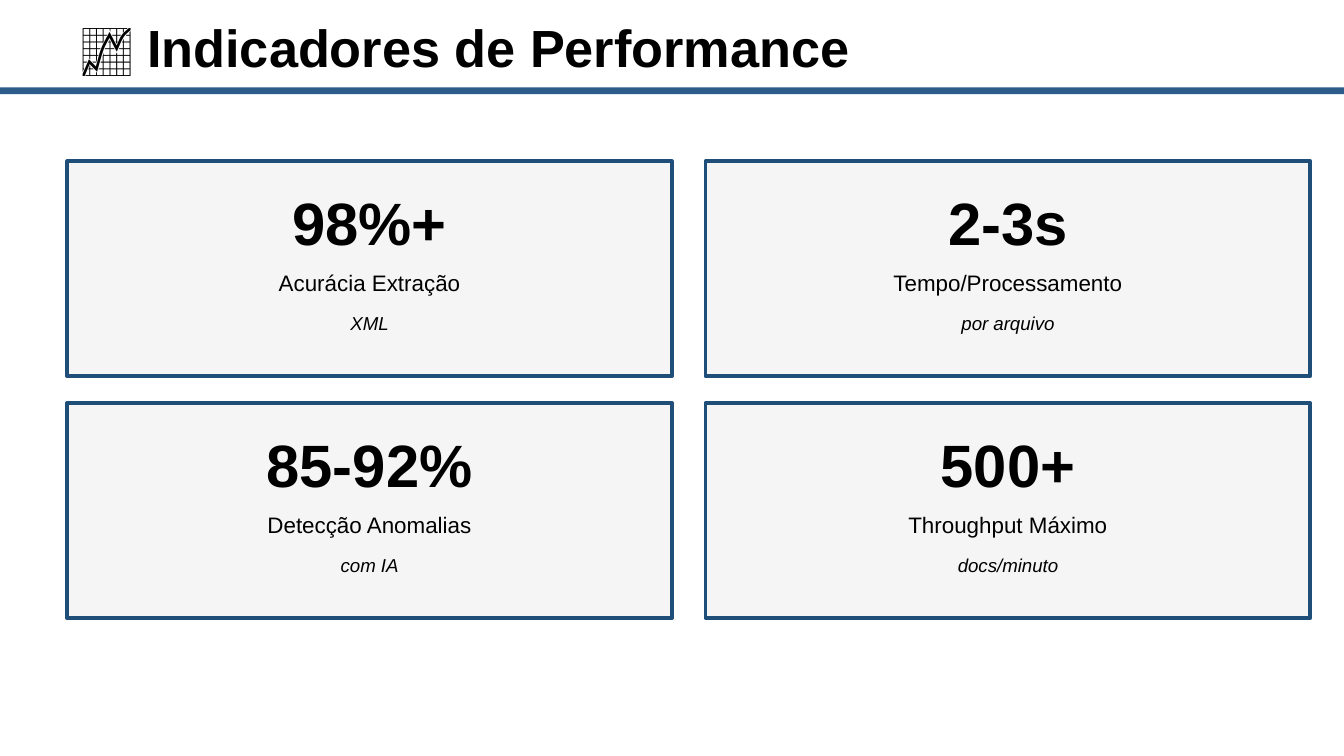
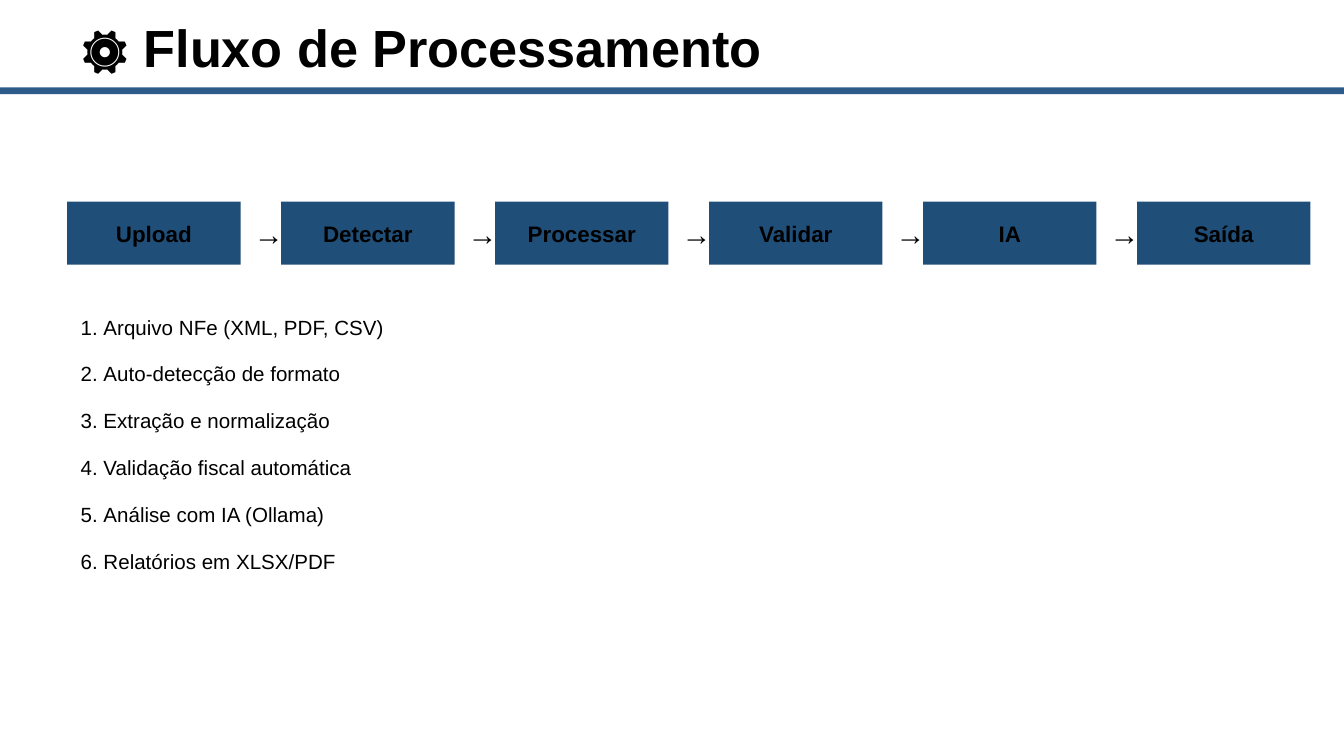
from lxml.etree import SubElement
from pptx import Presentation
from pptx.dml.color import RGBColor
from pptx.enum.shapes import MSO_SHAPE
from pptx.enum.text import MSO_ANCHOR, MSO_AUTO_SIZE, PP_ALIGN
from pptx.oxml.ns import qn
from pptx.util import Inches, Pt

FONT = "Arial"
BLACK = "000000"
BAND_BLUE = "2E5C8A"
DARK_BLUE = "1F4E78"
LIGHT_GRAY = "F5F5F5"
LEFT_MARGIN = 0.5


def write(paragraph, text, size, color=BLACK, bold=False, italic=False,
          align=PP_ALIGN.CENTER, space_before=0):
    run = paragraph.add_run()
    run.text = text
    run.font.name = FONT
    run.font.size = Pt(size)
    run.font.bold = bold
    run.font.italic = italic
    run.font.color.rgb = RGBColor.from_string(color)
    paragraph.alignment = align
    paragraph.line_spacing = 1.0
    paragraph.space_before = Pt(space_before)


def add_rectangle(slide, left, top, width, height, fill, line=None):
    shape = slide.shapes.add_shape(MSO_SHAPE.RECTANGLE, Inches(left), Inches(top),
                                   Inches(width), Inches(height))
    shape.shadow.inherit = False
    shape.fill.solid()
    shape.fill.fore_color.rgb = RGBColor.from_string(fill)
    if line:
        shape.line.color.rgb = RGBColor.from_string(line)
        shape.line.width = Pt(2)
    else:
        shape.line.fill.background()
    return shape


# Widescreen 16:9 page
presentation = Presentation()
presentation.slide_width = Inches(10)
presentation.slide_height = Inches(10 * 9 / 16)
title_only = presentation.slide_layouts.get_by_name("Title Only")
title_and_content = presentation.slide_layouts.get_by_name("Title and Content")

# Title and band on both slides
slides = []
for layout, heading in [
    (title_only, "📈 Indicadores de Performance"),
    (title_and_content, "⚙️ Fluxo de Processamento"),
]:
    slide = presentation.slides.add_slide(layout)
    title = slide.shapes.title
    title.left, title.top = Inches(LEFT_MARGIN), Inches(0.1)
    title.width, title.height = Inches(9), Inches(0.5)
    title.text_frame.auto_size = MSO_AUTO_SIZE.NONE
    title.text_frame.vertical_anchor = MSO_ANCHOR.MIDDLE
    write(title.text_frame.paragraphs[0], heading, 28, bold=True, align=PP_ALIGN.LEFT)
    add_rectangle(slide, 0, 0.65, 10, 0.05, BAND_BLUE)
    slides.append(slide)
indicators_slide, flow_slide = slides

# Indicator cards in a two-column grid
CARD_WIDTH, CARD_HEIGHT = 4.5, 1.6
COLUMN_GAP, ROW_GAP = 0.25, 0.2
indicators = [
    ("98%+", "Acurácia Extração", "XML"),
    ("2-3s", "Tempo/Processamento", "por arquivo"),
    ("85-92%", "Detecção Anomalias", "com IA"),
    ("500+", "Throughput Máximo", "docs/minuto"),
]
for index, (value, label, detail) in enumerate(indicators):
    row, column = divmod(index, 2)
    card = add_rectangle(indicators_slide,
                         LEFT_MARGIN + column * (CARD_WIDTH + COLUMN_GAP),
                         1.2 + row * (CARD_HEIGHT + ROW_GAP),
                         CARD_WIDTH, CARD_HEIGHT, LIGHT_GRAY, line=DARK_BLUE)
    text_frame = card.text_frame
    text_frame.vertical_anchor = MSO_ANCHOR.TOP
    text_frame.margin_top = Inches(0.18)
    write(text_frame.paragraphs[0], value, 32, bold=True)
    write(text_frame.add_paragraph(), label, 12, space_before=6.5)
    write(text_frame.add_paragraph(), detail, 10, italic=True, space_before=8.5)

# Flow steps with an arrow between neighbours
STEP_TOP, STEP_WIDTH, STEP_HEIGHT = 1.5, 1.29, 0.47
FLOW_WIDTH = 9.25
steps = ["Upload", "Detectar", "Processar", "Validar", "IA", "Saída"]
step_pitch = (FLOW_WIDTH - STEP_WIDTH) / (len(steps) - 1)
for index, step in enumerate(steps):
    left = LEFT_MARGIN + index * step_pitch
    box = add_rectangle(flow_slide, left, STEP_TOP, STEP_WIDTH, STEP_HEIGHT, DARK_BLUE)
    box.text_frame.vertical_anchor = MSO_ANCHOR.MIDDLE
    write(box.text_frame.paragraphs[0], step, 12, bold=True)
    if index < len(steps) - 1:
        arrow = flow_slide.shapes.add_textbox(Inches(left + STEP_WIDTH), Inches(STEP_TOP),
                                              Inches(0.26), Inches(STEP_HEIGHT))
        arrow.text_frame.word_wrap = True
        arrow.text_frame.vertical_anchor = MSO_ANCHOR.MIDDLE
        write(arrow.text_frame.paragraphs[0], "→", 16)

# Numbered list explaining the steps
explanations = [
    "Arquivo NFe (XML, PDF, CSV)",
    "Auto-detecção de formato",
    "Extração e normalização",
    "Validação fiscal automática",
    "Análise com IA (Ollama)",
    "Relatórios em XLSX/PDF",
]
body = flow_slide.placeholders[1]
body.left, body.top = Inches(LEFT_MARGIN), Inches(2.29)
body.width, body.height = Inches(9), Inches(2.05)
body.text_frame.auto_size = MSO_AUTO_SIZE.NONE
body.text_frame.vertical_anchor = MSO_ANCHOR.TOP
for index, explanation in enumerate(explanations):
    paragraph = body.text_frame.add_paragraph() if index else body.text_frame.paragraphs[0]
    properties = paragraph._p.get_or_add_pPr()
    properties.set("marL", str(Inches(0.17)))
    properties.set("indent", str(-Inches(0.17)))
    SubElement(properties, qn("a:buFont"), typeface=FONT)
    SubElement(properties, qn("a:buAutoNum"), type="arabicPeriod")
    write(paragraph, explanation, 11, align=PP_ALIGN.LEFT,
          space_before=11.9 if index else 0)

presentation.save("out.pptx")
